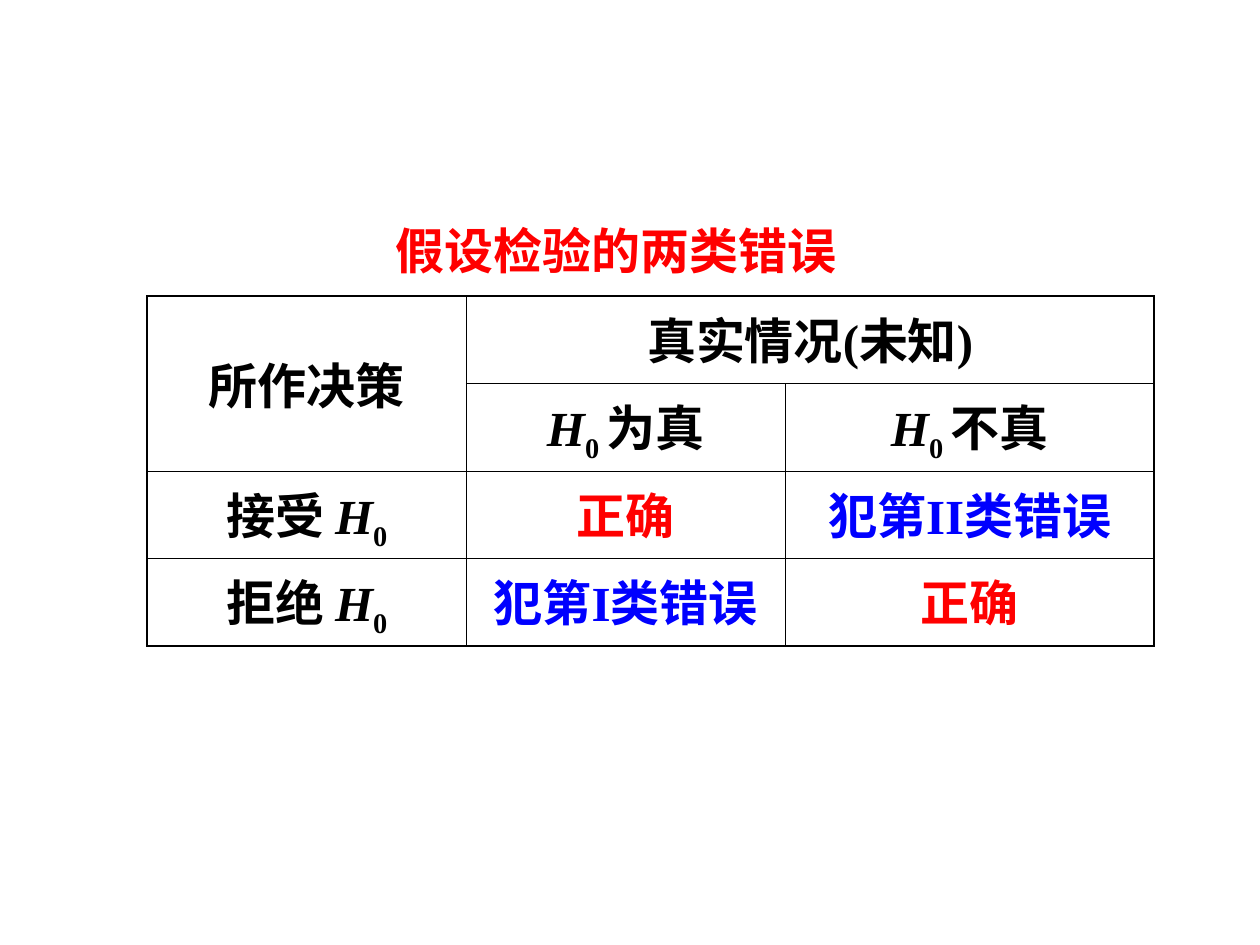
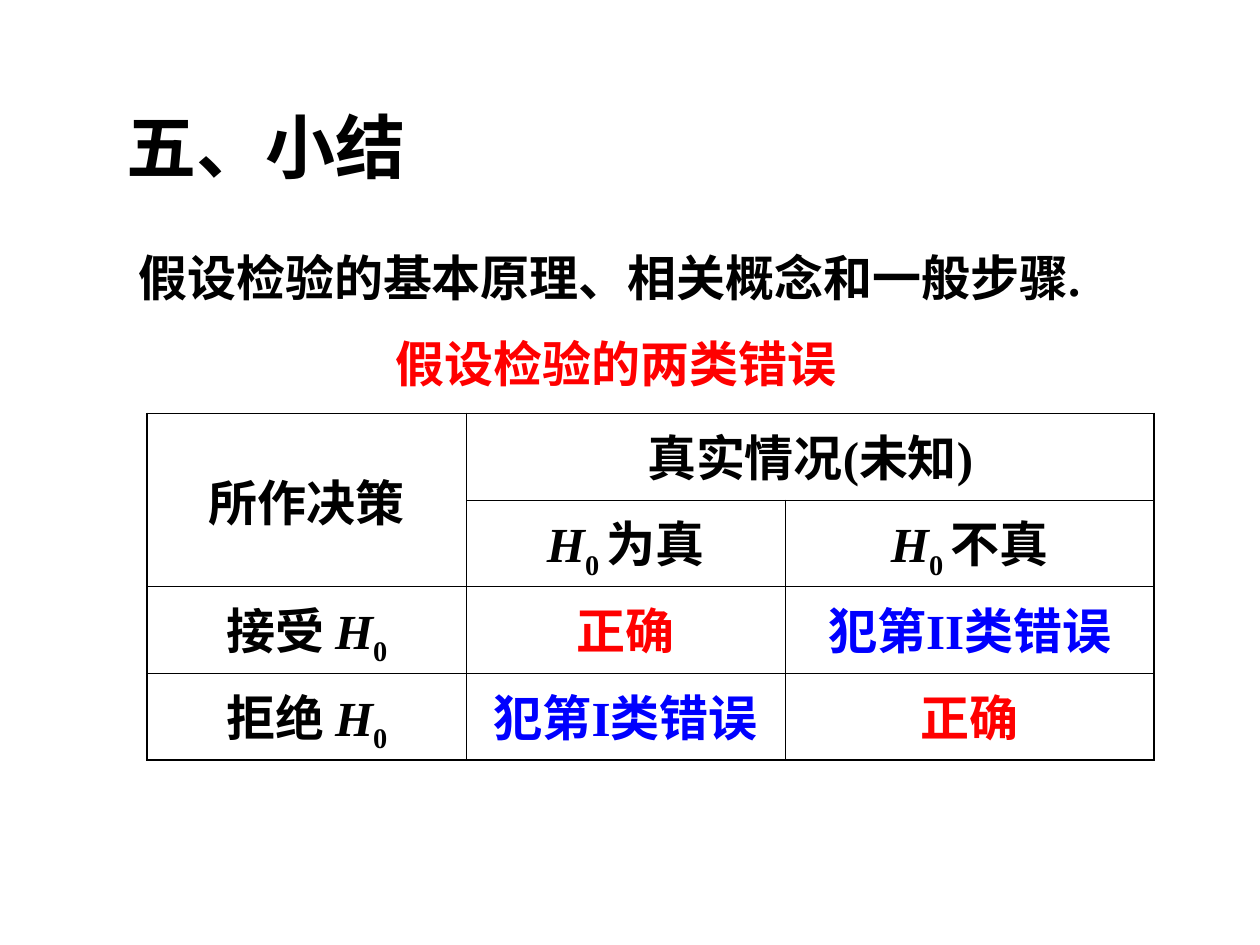
import pptx
import pptx.util
import pptx.dml.color
import pptx.enum.text
import pptx.oxml
import pptx.oxml.ns

Pt = pptx.util.Pt
RGBColor = pptx.dml.color.RGBColor
BLACK = RGBColor(0, 0, 0)
RED = RGBColor(255, 0, 0)
BLUE = RGBColor(0, 0, 255)
MIDDLE = pptx.enum.text.MSO_ANCHOR.MIDDLE
TOP = pptx.enum.text.MSO_ANCHOR.TOP
FONT = "Times New Roman"
THIN, THICK = 0.45, 1.08

COL_WIDTHS = [182.2, 182.2, 211]
ROWS = [
    [["所作决策"], ["真实情况(未知)"], []],
    [[], ["H", "0 ", "为真"], ["H", "0 ", "不真"]],
    [["接受 ", "H", "0"], ["正确"], ["犯第II类错误"]],
    [["拒绝 ", "H", "0"], ["犯第I类错误"], ["正确"]],
]
CELL_COLORS = {"正确": RED, "犯第I类错误": BLUE, "犯第II类错误": BLUE}

SLIDES = [
    {"texts": [("假设检验的两类错误", 219, 122.5, 396, 41, 28, RED, TOP)],
     "table_top": 169.2, "row_height": 50},
    {"texts": [("五、小结", 65, 55.5, 612, 55.5, 40, BLACK, MIDDLE),
               ("假设检验的基本原理、相关概念和一般步骤.", 72, 138, 594, 41, 28, BLACK, TOP),
               ("假设检验的两类错误", 219, 187, 396, 41, 28, RED, TOP)],
     "table_top": 236.2, "row_height": 49.5},
]


def style(p, size, color):
    p.font.name = FONT
    p.font.size = Pt(size)
    p.font.bold = True
    p.font.color.rgb = color


def add_border(tcPr, side, width):
    tcPr.append(pptx.oxml.parse_xml(
        f'<a:{side} {pptx.oxml.ns.nsdecls("a")} w="{Pt(width)}"><a:solidFill>'
        f'<a:srgbClr val="{BLACK}"/></a:solidFill></a:{side}>'))


prs = pptx.Presentation()
prs.slide_width, prs.slide_height = Pt(720), Pt(540)

for content in SLIDES:
    s = prs.slides.add_slide(prs.slide_layouts[6])

    for text, left, top, width, height, size, color, anchor in content["texts"]:
        tf = s.shapes.add_textbox(Pt(left), Pt(top), Pt(width), Pt(height)).text_frame
        tf.word_wrap = True
        tf.auto_size = pptx.enum.text.MSO_AUTO_SIZE.SHAPE_TO_FIT_TEXT
        tf.vertical_anchor = anchor
        p = tf.paragraphs[0]
        p.text = text
        style(p, size, color)

    row_height = content["row_height"]
    table = s.shapes.add_table(
        len(ROWS), len(COL_WIDTHS), Pt(84.2), Pt(content["table_top"]),
        Pt(sum(COL_WIDTHS)), Pt(row_height * len(ROWS))).table
    table.first_row = table.horz_banding = False
    for col, width in zip(table.columns, COL_WIDTHS):
        col.width = Pt(width)
    for row in table.rows:
        row.height = Pt(row_height)
    table.cell(0, 0).merge(table.cell(1, 0))
    table.cell(0, 1).merge(table.cell(0, 2))
    table.cell(0, 0).vertical_anchor = MIDDLE

    for i, row in enumerate(ROWS):
        for j, pieces in enumerate(row):
            cell = table.cell(i, j)
            edges = {
                "lnL": j == 0,
                "lnR": j + cell.span_width == len(COL_WIDTHS),
                "lnT": i == 0,
                "lnB": i + cell.span_height == len(ROWS),
            }
            tcPr = cell._tc.get_or_add_tcPr()
            for side, outer in edges.items():
                add_border(tcPr, side, THICK if outer else THIN)
            cell.fill.background()

            p = cell.text_frame.paragraphs[0]
            p.alignment = pptx.enum.text.PP_ALIGN.CENTER
            style(p, 28, CELL_COLORS.get("".join(pieces), BLACK))
            for piece in pieces:
                r = p.add_run()
                r.text = piece
                if piece == "H":
                    r.font.italic = True
                elif piece.strip() == "0":
                    r._r.get_or_add_rPr().set("baseline", "-25000")

prs.save("out.pptx")
